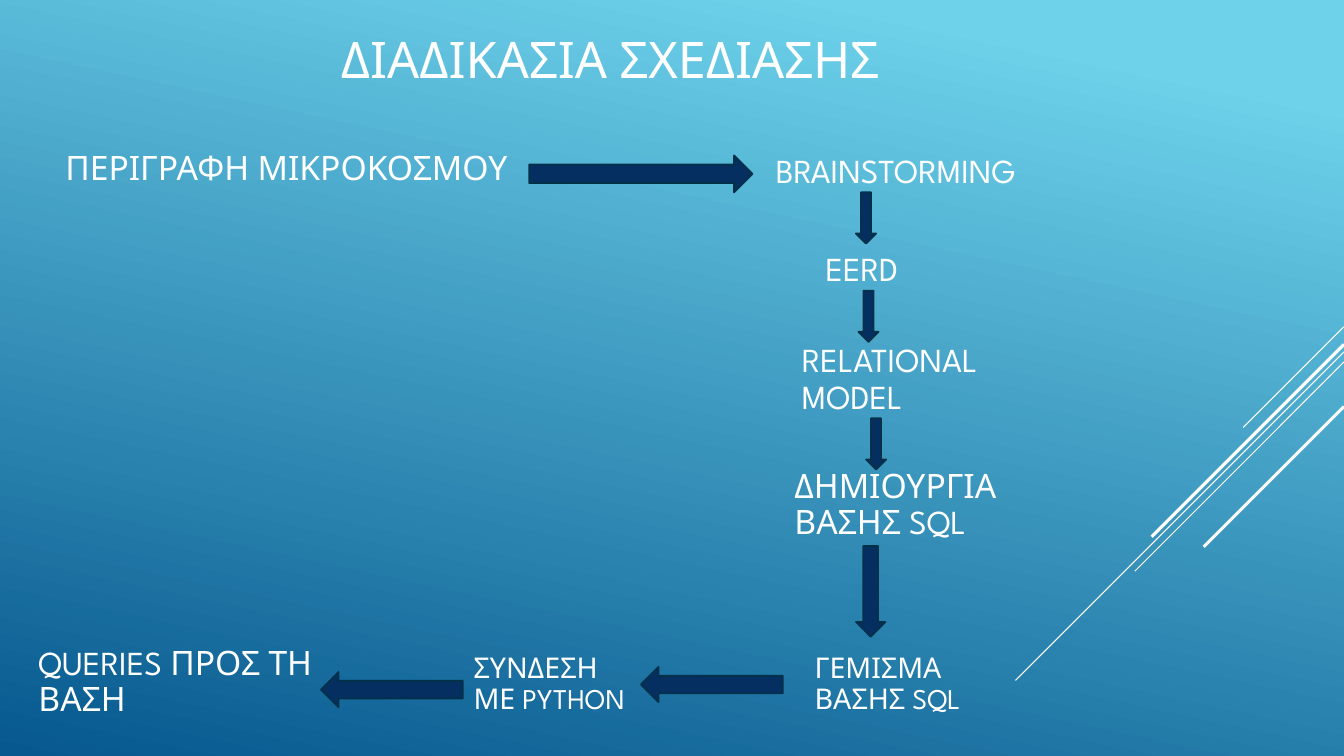
from lxml import etree
from pptx import Presentation
from pptx.dml.color import RGBColor
from pptx.enum.shapes import MSO_CONNECTOR, MSO_SHAPE
from pptx.enum.text import MSO_ANCHOR
from pptx.oxml.ns import qn
from pptx.util import Inches, Pt

STRAIGHT = MSO_CONNECTOR.STRAIGHT
RIGHT = MSO_SHAPE.RIGHT_ARROW
DOWN = MSO_SHAPE.DOWN_ARROW
LEFT = MSO_SHAPE.LEFT_ARROW
MIDDLE = MSO_ANCHOR.MIDDLE

COLUMNS, ROWS = 160, 90
CELL = Inches(1 / 12)
FONT = "League Spartan"
COLORS = {
    "sky": "6ED2EB",
    "sea": "06588E",
    "white": "FFFFFF",
    "arrow": "052F61",
    "arrow_edge": "043148",
}

STEPS = [
    ("ΠΕΡΙΓΡΑΦΗ ΜΙΚΡΟΚΟΣΜΟΥ", (6.6, 15.1, 56.3, 10.1), 24),
    ("BRAINSTORMING", (91.2, 15.1, 40.6, 10.9), 24),
    ("EERD", (97.1, 29, 14.4, 6.4), 24),
    ("RELATIONAL MODEL", (94.3, 39.8, 29.5, 10.9), 24),
    ("ΔΗΜΙΟΥΡΓΙΑ ΒΑΣΗΣ SQL", (93.4, 54.7, 31.4, 10.9), 24),
    ("ΓΕΜΙΣΜΑ ΒΑΣΗΣ SQL", (95.8, 75.8, 20.9, 11.5), 20.4),
    ("ΣΥΝΔΕΣΗ ΜΕ PYTHON", (55.2, 76.1, 21.5, 10.9), 20.4),
    ("QUERIES ΠΡΟΣ ΤΗ ΒΑΣΗ", (3.4, 75.8, 40.6, 10.9), 24),
]
ARROWS = [
    (RIGHT, (63, 18.5, 26.6, 4.4)),
    (DOWN, (101.9, 22.9, 2.4, 6.1)),
    (DOWN, (102.2, 34.6, 2.4, 6.1)),
    (DOWN, (103.1, 49.8, 2.4, 6.1)),
    (DOWN, (101.9, 65, 3.5, 10.8)),
    (LEFT, (76.3, 79.4, 16.9, 4.2)),
    (LEFT, (38.2, 80, 16.9, 4.2)),
]
DIAGONALS = [
    (38.9, 12, 0.75),
    (41.9, 39.1, 0.75),
    (43.1, 24.9, 0.75),
    (41, 22.9, 2.25),
    (48.4, 16.7, 2.25),
]


def color(name):
    return RGBColor.from_string(COLORS[name])


def cells(*counts):
    return [round(count * CELL) for count in counts]


def paint_background(page):
    fill = page.background.fill
    fill.gradient()
    fill.gradient_angle = 360 - 102
    for stop, position, name in zip(fill.gradient_stops, (0.1, 1), ("sky", "sea")):
        stop.position = position
        stop.color.rgb = color(name)


def add_diagonal(page, top, reach, weight):
    ends = cells(COLUMNS, top, COLUMNS - reach, top + reach)
    line = page.shapes.add_connector(STRAIGHT, *ends)
    line.line.color.rgb = color("white")
    line.line.width = Pt(weight)
    etree.SubElement(line._element.spPr, qn("a:effectLst"))


def add_text(page, text, place, size=24, fill="white"):
    box = page.shapes.add_textbox(*cells(*place))
    frame = box.text_frame
    frame.word_wrap = True
    frame.vertical_anchor = MIDDLE
    para = frame.paragraphs[0]
    para.line_spacing = 0.9
    span = para.add_run()
    span.text = text
    span.font.name = FONT
    span.font.size = Pt(size)
    span.font.color.rgb = color(fill)


def add_arrow(page, kind, place):
    arrow = page.shapes.add_shape(kind, *cells(*place))
    arrow.shadow.inherit = False
    arrow.fill.solid()
    arrow.fill.fore_color.rgb = color("arrow")
    arrow.line.color.rgb = color("arrow_edge")
    arrow.line.width = Pt(1.25)


def main():
    deck = Presentation()
    deck.slide_width, deck.slide_height = cells(COLUMNS, ROWS)
    page = deck.slides.add_slide(deck.slide_layouts[6])
    paint_background(page)
    for top, reach, weight in DIAGONALS:
        add_diagonal(page, top, reach, weight)
    add_text(page, "ΔΙΑΔΙΚΑΣΙΑ ΣΧΕΔΙΑΣΗΣ", (39.4, 1.4, 72.1, 11.9), size=36)
    for text, place, size in STEPS:
        add_text(page, text, place, size=size)
    for kind, place in ARROWS:
        add_arrow(page, kind, place)
    deck.save("out.pptx")


if __name__ == "__main__":
    main()
